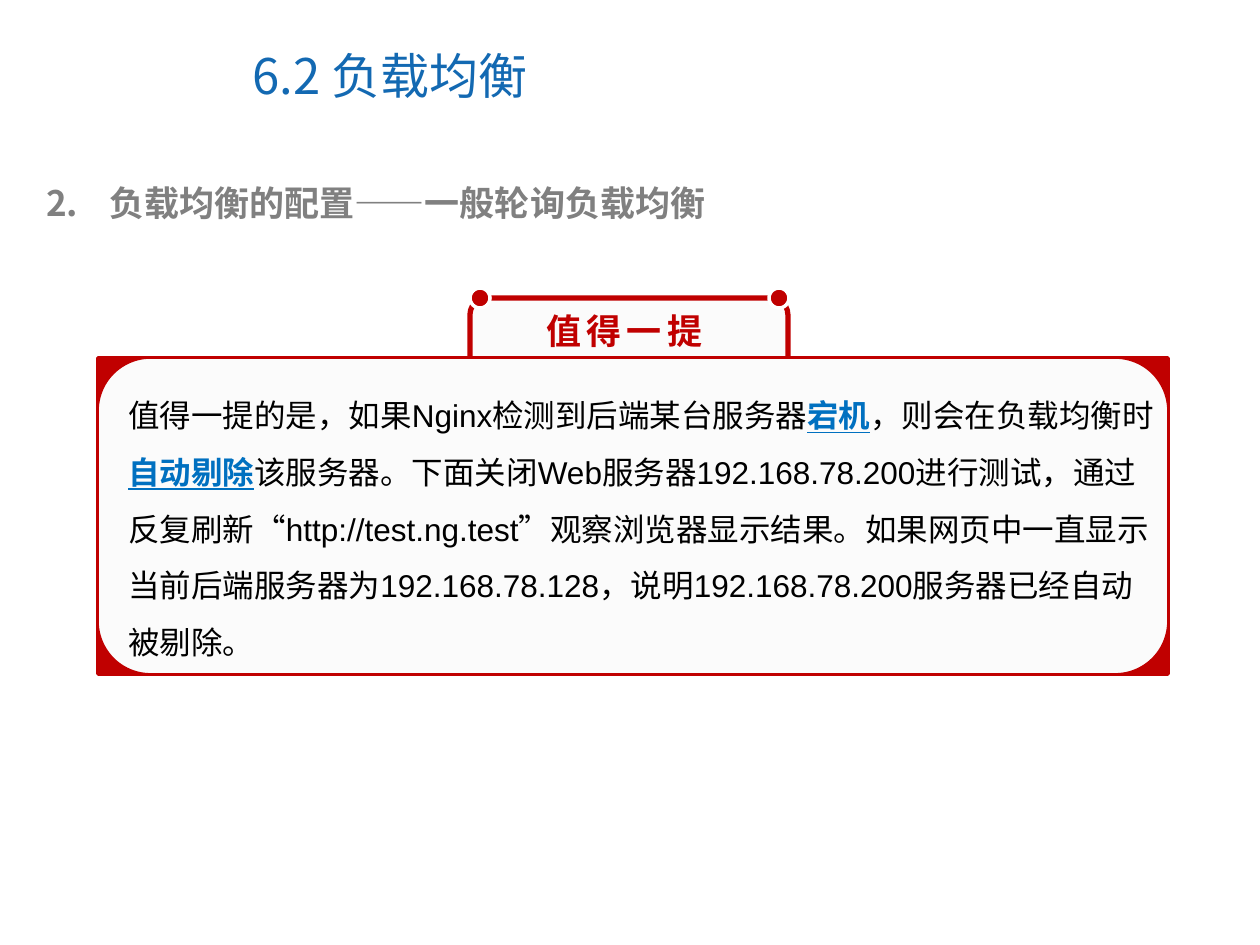
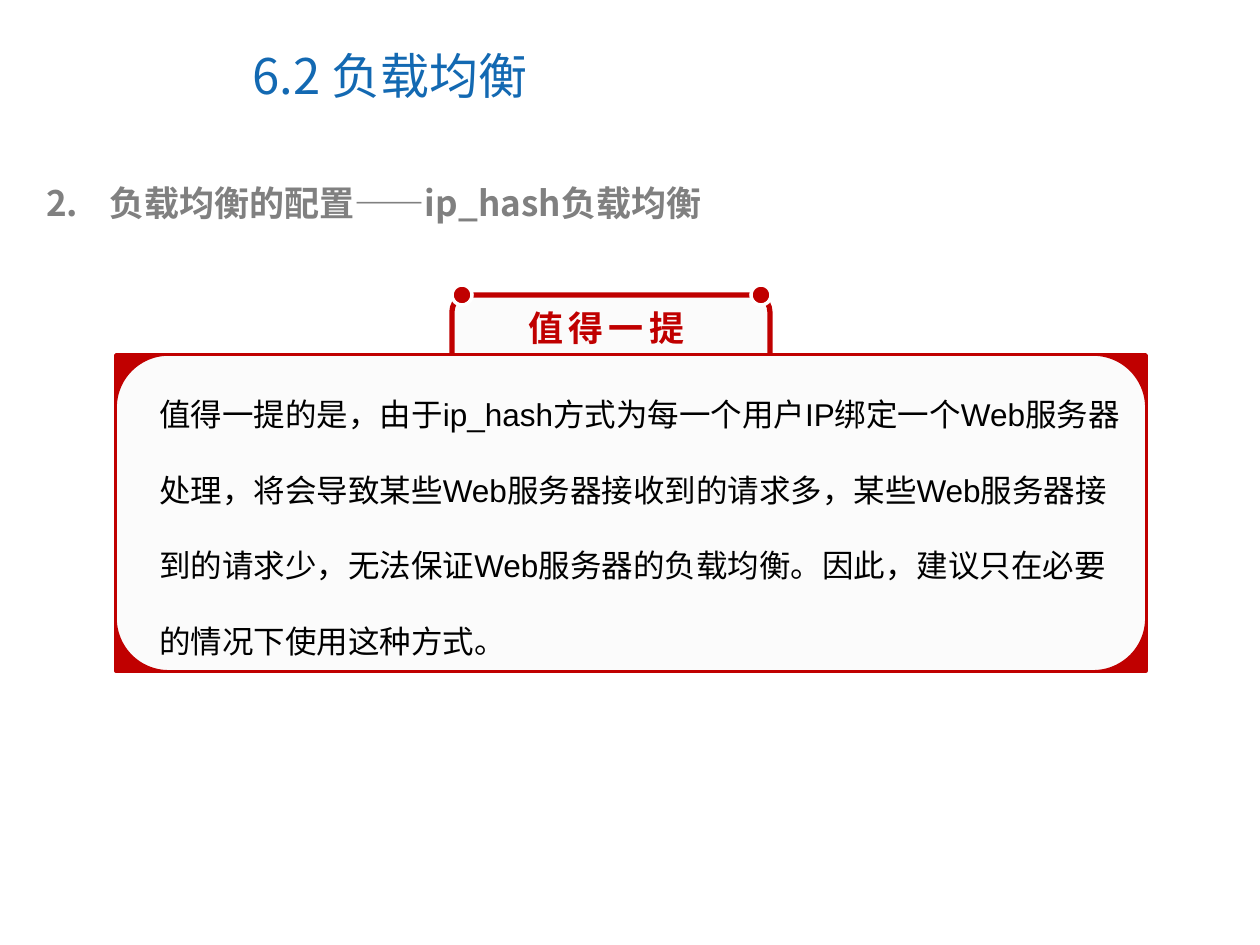
from lxml.etree import SubElement
from pptx import Presentation
from pptx.dml.color import RGBColor
from pptx.enum.lang import MSO_LANGUAGE_ID as LANG
from pptx.enum.shapes import MSO_SHAPE as SHAPE
from pptx.enum.text import MSO_ANCHOR as ANCHOR
from pptx.oxml.ns import qn
from pptx.util import Pt

PX = 914400 / 126  # EMU per px
CJK = "Noto Sans CJK SC"
COLORS = {"title": "1369B2", "heading": "808080", "red": "C00000",
          "panel": "FBFBFB", "white": "FFFFFF", "body": "000000", "key": "0070C0"}

TITLE = dict(name=CJK, size=Pt(28), color="title")
HEADING = dict(name=CJK, size=Pt(20), color="heading", bold=True)
LABEL = dict(name=CJK, size=Pt(20), color="red", bold=True)
BODY = dict(name="Arial", size=Pt(18), color="body")
KEY = dict(BODY, color="key", bold=True, underline=True)

TITLE_BOX = (240, 21, 714, 107)
HEADING_BOX = (34, 175, 1162, 55)

NOTES = [
    dict(heading="负载均衡的配置——一般轮询负载均衡",
         panel=(98, 358, 1070, 316), tab_dx=372,
         inset=(18, 13, 1053, 299), spacing=1.5,
         runs=[("值得一提的是，如果Nginx检测到后端某台服务器", BODY),
               ("宕机", KEY),
               ("，则会在负载均衡时", BODY),
               ("自动剔除", KEY),
               ("该服务器。下面关闭Web服务器192.168.78.200进行测试，"
                "通过反复刷新“http://test.ng.test”观察浏览器显示结果。"
                "如果网页中一直显示当前后端服务器为192.168.78.128，"
                "说明192.168.78.200服务器已经自动被剔除。", BODY)]),
    dict(heading="负载均衡的配置——ip_hash负载均衡",
         panel=(116, 355, 1030, 316), tab_dx=336,
         inset=(31, -4, 994, 318), spacing=2.0,
         runs=[("值得一提的是，由于ip_hash方式为每一个用户IP绑定一个Web服务器处理，"
                "将会导致某些Web服务器接收到的请求多，某些Web服务器接到的请求少，"
                "无法保证Web服务器的负载均衡。因此，建议只在必要的情况下使用这种方式。", BODY)]),
]


def emu(*lengths):
    return [round(v * PX) for v in lengths]


def rgb(name):
    return RGBColor.from_string(COLORS[name])


def add_run(p, text, fmt):
    r = p.add_run()
    r.text = text
    for key, value in fmt.items():
        if key == "color":
            r.font.color.rgb = rgb(value)
        else:
            setattr(r.font, key, value)
    r.font.language_id = LANG.SIMPLIFIED_CHINESE
    SubElement(r.font._element, qn("a:ea")).set("typeface", CJK)
    return r


def add_text(slide, box, runs, wrap=True, anchor=ANCHOR.TOP):
    tf = slide.shapes.add_textbox(*emu(*box)).text_frame
    tf.word_wrap, tf.vertical_anchor = wrap, anchor
    p = tf.paragraphs[0]
    for text, fmt in runs:
        add_run(p, text, fmt)
    return p


def add_box(slide, kind, box, fill, line, width):
    sp = slide.shapes.add_shape(kind, *emu(*box))
    sp.shadow.inherit = False
    sp.fill.solid()
    sp.fill.fore_color.rgb = rgb(fill)
    sp.line.color.rgb = rgb(line)
    sp.line.width = Pt(width)


def add_header(slide, heading):
    add_text(slide, TITLE_BOX, [("6.2 负载均衡", TITLE)], anchor=ANCHOR.MIDDLE)
    # Numbered heading with a hanging indent
    p = add_text(slide, HEADING_BOX, [])
    pPr = p._p.get_or_add_pPr()
    indent = emu(63)[0]
    pPr.set("marL", str(indent))
    pPr.set("indent", str(-indent))
    SubElement(pPr, qn("a:buFont")).set("typeface", CJK)
    number = SubElement(pPr, qn("a:buAutoNum"))
    number.set("type", "arabicPeriod")
    number.set("startAt", "2")
    add_run(p, heading, HEADING)


def add_callout(slide, panel, tab_dx, inset, spacing, runs):
    x, y, w, h = panel
    tab_x, tab_y, tab_w, dot = x + tab_dx, y - 60, 318, 20
    # Tab behind the panel, then the panel with red corners
    add_box(slide, SHAPE.ROUNDED_RECTANGLE, (tab_x, tab_y, tab_w, 100), "panel", "red", 3)
    add_box(slide, SHAPE.FLOWCHART_PROCESS, panel, "red", "red", 2)
    add_box(slide, SHAPE.FLOWCHART_ALTERNATE_PROCESS, panel, "panel", "red", 1)
    # Dots on the tab's upper corners
    for dot_x in (tab_x, tab_x + tab_w - dot + 1):
        add_box(slide, SHAPE.OVAL, (dot_x, tab_y - dot // 2, dot, dot), "red", "white", 2)
    # Tab label with wide letter spacing
    p = add_text(slide, (tab_x + 64, tab_y + 5, 189, 55), [("值得一提", LABEL)], wrap=False)
    p.runs[0].font._element.set("spc", "300")
    # Body text
    dx, dy, text_w, text_h = inset
    p = add_text(slide, (x + dx, y + dy, text_w, text_h), runs)
    p.line_spacing = spacing


def main():
    prs = Presentation()
    prs.slide_width, prs.slide_height = emu(1260, 945)
    for note in NOTES:
        slide = prs.slides.add_slide(prs.slide_layouts[6])
        add_header(slide, note["heading"])
        add_callout(slide, note["panel"], note["tab_dx"], note["inset"],
                    note["spacing"], note["runs"])
    prs.save("out.pptx")


if __name__ == "__main__":
    main()
